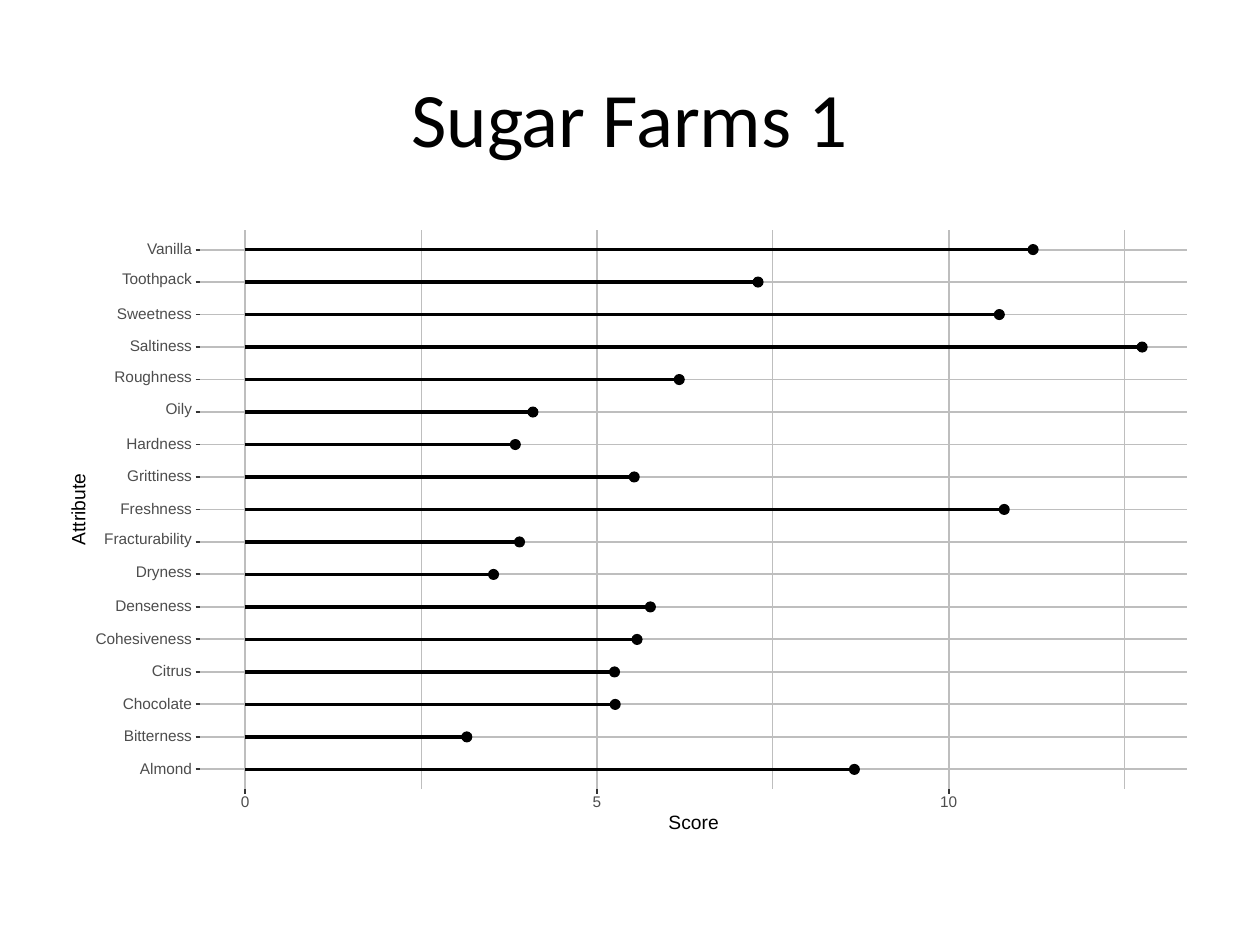
from lxml import etree
from pptx import Presentation
from pptx.dml.color import RGBColor
from pptx.enum import shapes, text
from pptx.oxml.ns import qn
from pptx.util import Pt

SCORES = {
    "Vanilla": 11.2, "Toothpack": 7.29, "Sweetness": 10.72, "Saltiness": 12.75,
    "Roughness": 6.17, "Oily": 4.09, "Hardness": 3.84, "Grittiness": 5.53,
    "Freshness": 10.79, "Fracturability": 3.9, "Dryness": 3.53,
    "Denseness": 5.76, "Cohesiveness": 5.57, "Citrus": 5.25,
    "Chocolate": 5.26, "Bitterness": 3.15, "Almond": 8.66,
}
MAJOR, MINOR = (0, 5, 10), (2.5, 7.5, 12.5)
BLACK, WHITE, GRID, TICK, LABEL = "000000", "FFFFFF", "BEBEBE", "333333", "4D4D4D"
THIN, NORMAL, THICK = 0.53, 1.07, 2.13
TICK_LENGTH, DOT = 2.75, 5.6
ALIGN = text.PP_ALIGN


def color(value):
    return RGBColor.from_string(value)


def add_text(parent, box, words, size, font="Arial", fill=BLACK,
             align=ALIGN.CENTER, exact=True, rotation=0):
    holder = parent.add_textbox(*map(Pt, box))
    holder.rotation = rotation
    frame = holder.text_frame
    frame.word_wrap = True
    frame.vertical_anchor = text.MSO_ANCHOR.MIDDLE
    frame.margin_left = frame.margin_right = frame.margin_top = frame.margin_bottom = 0
    paragraph = frame.paragraphs[0]
    paragraph.alignment = align
    if exact:
        paragraph.line_spacing = Pt(size)
    run = paragraph.add_run()
    run.text = words
    run.font.size = Pt(size)
    run.font.name = font
    run.font.color.rgb = color(fill)


def add_line(parent, x1, y1, x2, y2, stroke, width):
    line = parent.add_connector(shapes.MSO_CONNECTOR.STRAIGHT, *map(Pt, (x1, y1, x2, y2)))
    line.line.color.rgb = color(stroke)
    line.line.width = Pt(width)
    etree.SubElement(line._element.spPr, qn("a:effectLst"))


def add_filled(parent, kind, box, fill, width):
    shape = parent.add_shape(kind, *map(Pt, box))
    shape.shadow.inherit = False
    shape.fill.solid()
    shape.fill.fore_color.rgb = color(fill)
    shape.line.color.rgb = color(fill)
    shape.line.width = Pt(width)


def add_lollipop_plot(parent, left, top, width, height):
    """Draw the scores in a panel; labels and ticks go outside its left and bottom."""
    right, bottom = left + width, top + height
    # Margins: 5 % of the score range at each side, 0.6 of a row above and below.
    unit = width / 1.1 / max(SCORES.values())
    zero = left + width * 0.05 / 1.1
    step = height / (len(SCORES) + 0.2)
    rows = [(name, zero + score * unit, top + (i + 0.6) * step)
            for i, (name, score) in enumerate(SCORES.items())]

    for value in MINOR:
        x = zero + value * unit
        add_line(parent, x, bottom, x, top, GRID, THIN)
    for _, _, y in rows:
        add_line(parent, left, y, right, y, GRID, NORMAL)
    for value in MAJOR:
        x = zero + value * unit
        add_line(parent, x, bottom, x, top, GRID, NORMAL)

    for _, x, y in rows:
        add_filled(parent, shapes.MSO_SHAPE.OVAL,
                   (x - DOT / 2, y - DOT / 2, DOT, DOT), BLACK, 0.71)
        add_line(parent, x, y, zero, y, BLACK, THICK)

    for name, _, y in rows:
        lift = 1 if set("gpy") & set(name) else 0  # descenders raise the label
        add_text(parent, (left - 62.8, y - 3.5 - lift, 58, 7), name, 8.8,
                 fill=LABEL, align=ALIGN.RIGHT)
        add_line(parent, left - TICK_LENGTH, y, left, y, TICK, NORMAL)
    for value in MAJOR:
        x = zero + value * unit
        add_line(parent, x, bottom + TICK_LENGTH, x, bottom, TICK, NORMAL)
        add_text(parent, (x - 6, bottom + 4.7, 12, 7), str(value), 8.8, fill=LABEL)

    add_text(parent, (left + width / 2 - 16, bottom + 15.7, 32, 8), "Score", 11)
    add_text(parent, (left - 91, top + height / 2 - 4, 44, 8), "Attribute", 11, rotation=270)


def main():
    deck = Presentation()
    deck.slide_width, deck.slide_height = Pt(720), Pt(540)
    slide = deck.slides.add_slide(deck.slide_layouts[6])
    plot = slide.shapes.add_group_shape().shapes
    add_filled(plot, shapes.MSO_SHAPE.RECTANGLE, (36, 126, 648, 356.4), WHITE, 0.75)
    add_lollipop_plot(plot, 114.5, 131.5, 563.8, 319.3)
    add_text(slide.shapes, (36, 21.6, 648, 90), "Sugar Farms 1", 44,
             font="Calibri", exact=False)
    deck.save("out.pptx")


if __name__ == "__main__":
    main()
